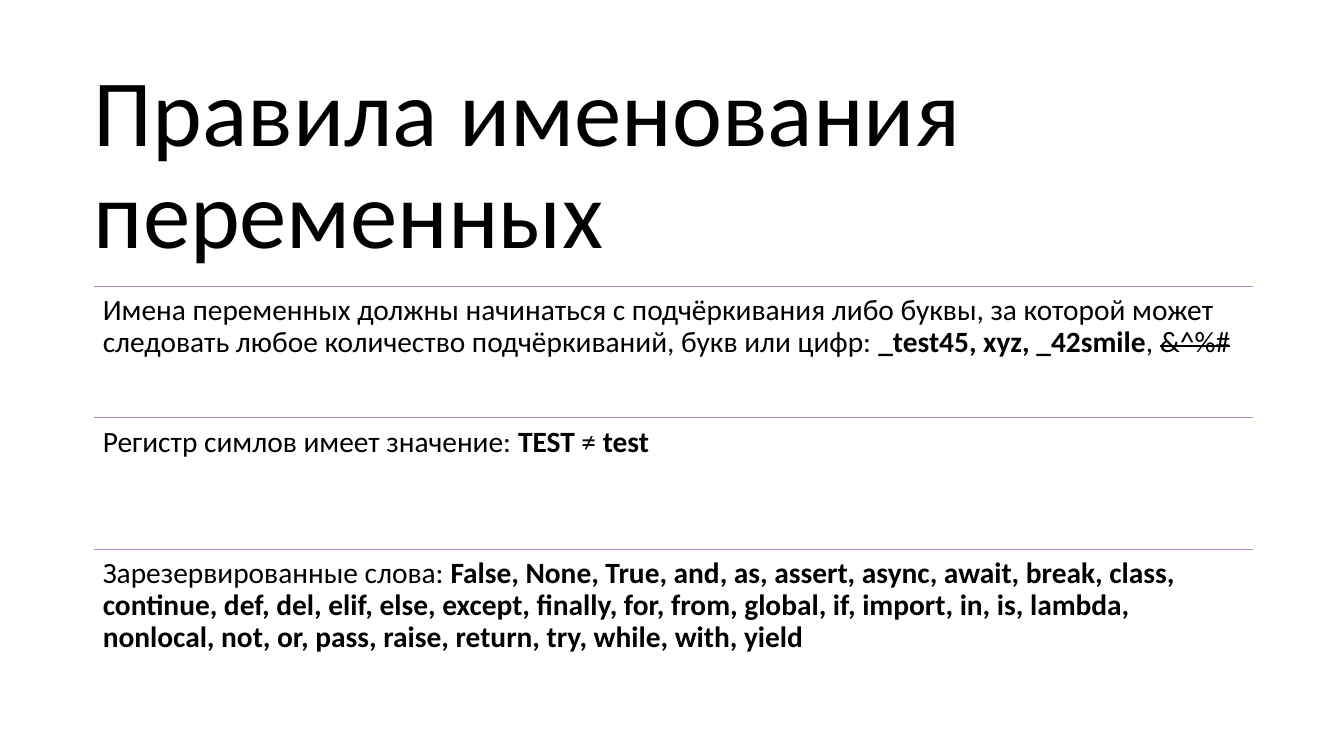
from lxml import etree
from pptx import Presentation
from pptx.dml.color import RGBColor
from pptx.enum.shapes import MSO_CONNECTOR
from pptx.enum.text import MSO_ANCHOR
from pptx.oxml.ns import qn
from pptx.util import Inches, Pt

STRAIGHT = MSO_CONNECTOR.STRAIGHT
TOP, BOTTOM = MSO_ANCHOR.TOP, MSO_ANCHOR.BOTTOM

COLORS = {"background": "FFFFFF", "text": "000000", "rule": "AD84C6"}
FONT = "Calibri"
SLIDE_WIDTH, SLIDE_HEIGHT = 13.33, 7.5

# Shares of the slide's width and height
LEFT, WIDTH = 0.93 / SLIDE_WIDTH, 11.5 / SLIDE_WIDTH
TITLE_TOP, TITLE_HEIGHT = 1.22 / SLIDE_HEIGHT, 1.45 / SLIDE_HEIGHT
ROWS_TOP, ROW_HEIGHT = 2.84 / SLIDE_HEIGHT, 1.305 / SLIDE_HEIGHT

TITLE = [("Правила именования переменных", "")]
RULES = [
    [
        ("Имена переменных должны начинаться с подчёркивания либо буквы, за которой "
         "может следовать любое количество подчёркиваний, букв или цифр: ", ""),
        ("_test45, xyz, _42smile", "bold"),
        (", ", ""),
        ("&^%#", "strike"),
    ],
    [
        ("Регистр симлов имеет значение: ", ""),
        ("TEST", "bold"),
        (" ≠ ", ""),
        ("test", "bold"),
    ],
    [
        ("Зарезервированные слова: ", ""),
        ("False, None, True, and, as, assert, async, await, break, class, continue, "
         "def, del, elif, else, except, finally, for, from, global, if, import, in, "
         "is, lambda, nonlocal, not, or, pass, raise, return, try, while, with, yield",
         "bold"),
    ],
]


class SlideBuilder:
    def __init__(self, presentation):
        self.width = presentation.slide_width
        self.height = presentation.slide_height
        self.slide = presentation.slides.add_slide(presentation.slide_layouts[6])
        fill = self.slide.background.fill
        fill.solid()
        fill.fore_color.rgb = RGBColor.from_string(COLORS["background"])

    def place(self, x, y):
        """Turn shares of the slide into lengths."""
        return round(x * self.width), round(y * self.height)

    def text(self, top, height, runs, size, inset, anchor=TOP):
        shape = self.slide.shapes.add_textbox(
            *self.place(LEFT, top), *self.place(WIDTH, height))
        frame = shape.text_frame
        frame.word_wrap = True
        frame.vertical_anchor = anchor
        frame.margin_left = frame.margin_right = Inches(inset)
        frame.margin_top = frame.margin_bottom = Inches(inset)
        paragraph = frame.paragraphs[0]
        paragraph.line_spacing = 0.9
        for words, style in runs:
            run = paragraph.add_run()
            run.text = words
            run.font.name = FONT
            run.font.size = Pt(size)
            run.font.bold = style == "bold"
            run.font.color.rgb = RGBColor.from_string(COLORS["text"])
            if style == "strike":
                run._r.get_or_add_rPr().set("strike", "sngStrike")

    def rule(self, top):
        line = self.slide.shapes.add_connector(
            STRAIGHT, *self.place(LEFT, top), *self.place(LEFT + WIDTH, top))
        line.line.color.rgb = RGBColor.from_string(COLORS["rule"])
        line.line.width = Pt(0.5)
        etree.SubElement(line._element.spPr, qn("a:effectLst"))


def main():
    presentation = Presentation()
    presentation.slide_width = Inches(SLIDE_WIDTH)
    presentation.slide_height = Inches(SLIDE_HEIGHT)
    builder = SlideBuilder(presentation)
    builder.text(TITLE_TOP, TITLE_HEIGHT, TITLE, size=67.7, inset=0, anchor=BOTTOM)
    for row, runs in enumerate(RULES):
        top = ROWS_TOP + row * ROW_HEIGHT
        builder.rule(top)
        builder.text(top, ROW_HEIGHT, runs, size=21, inset=0.09)
    presentation.save("out.pptx")


if __name__ == "__main__":
    main()
